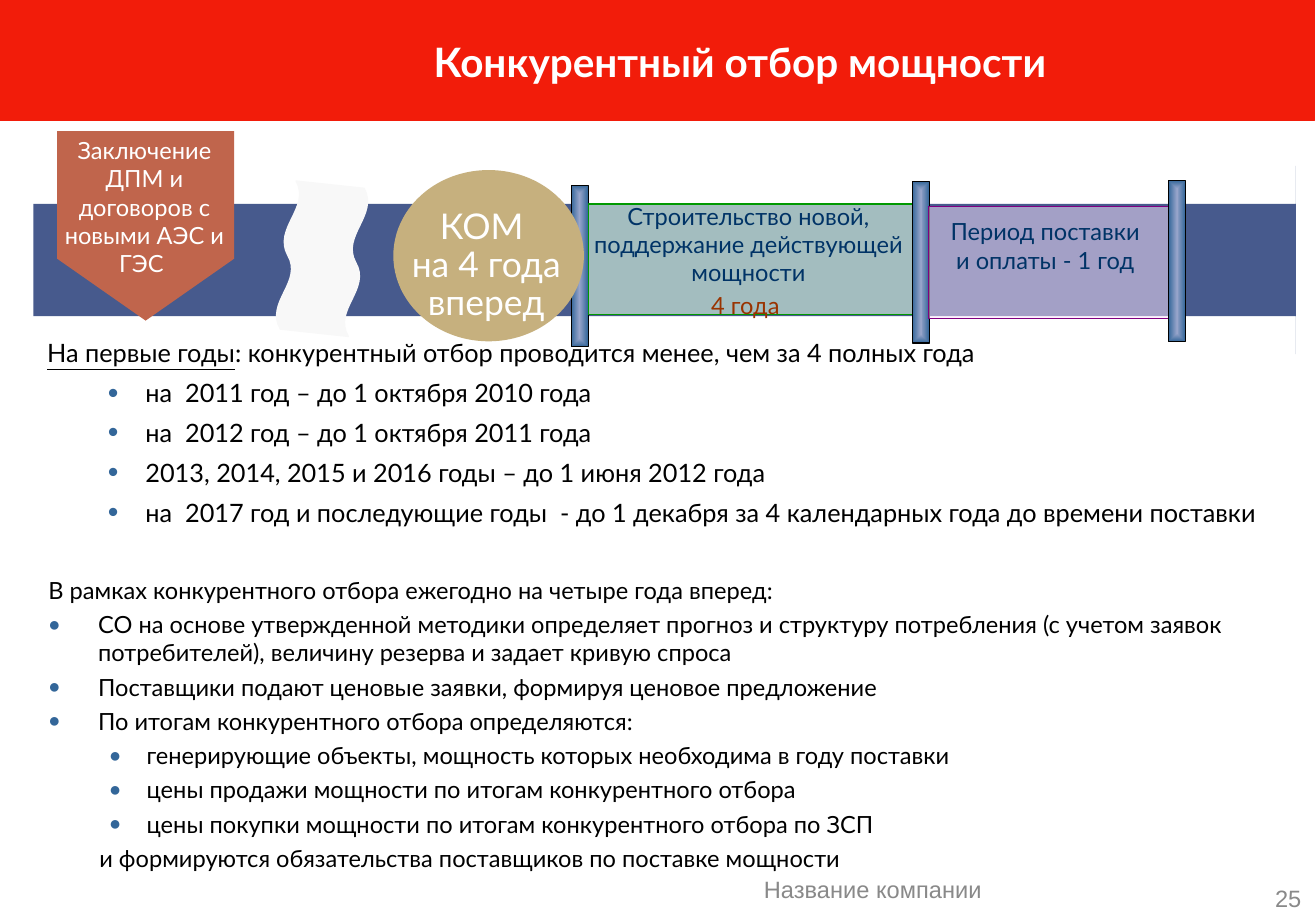
from dataclasses import dataclass
from typing import Optional

import pptx
import pptx.dml.color
import pptx.enum.shapes
import pptx.enum.text
import pptx.oxml
import pptx.oxml.ns
import pptx.presentation
import pptx.util
from pptx.shapes.autoshape import Shape
from pptx.slide import Slide

Pt = pptx.util.Pt
Align = pptx.enum.text.PP_ALIGN
Anchor = pptx.enum.text.MSO_ANCHOR
Preset = pptx.enum.shapes.MSO_SHAPE
qn = pptx.oxml.ns.qn
Point = tuple[float, float]


@dataclass(frozen=True)
class Theme:
    body_font: str = "Lato"
    footer_font: str = "Arial"
    title_size: float = 24
    selection_size: float = 21
    schedule_size: float = 15
    body_size: float = 14
    header: str = "F21C0A"
    white: str = "FFFFFF"
    black: str = "000000"
    footer: str = "898989"
    band: str = "475A8D"
    selection: str = "C6B07E"
    contracts: str = "C0654C"
    gap: str = "F8F8F8"
    navy: str = "003366"
    term: str = "993300"
    bullet: str = "336699"
    post_center: str = "96A4CA"
    build: str = "E1FFE1"
    build_line: str = "009900"
    supply: str = "FFE7FF"
    supply_line: str = "800080"


THEME = Theme()


@dataclass(frozen=True)
class Box:
    left: float
    top: float
    width: float
    height: float

    def emu(self) -> tuple[int, int, int, int]:
        return Pt(self.left), Pt(self.top), Pt(self.width), Pt(self.height)


@dataclass(frozen=True)
class Bullet:
    symbol: str
    percent: int


@dataclass(frozen=True)
class Line:
    text: str
    underlined: str = ""
    color: Optional[str] = None
    level: int = 0
    indent: float = 0
    hanging: float = 0
    bullet: Optional[Bullet] = None


@dataclass(frozen=True)
class Style:
    size: float = THEME.body_size
    color: str = THEME.black
    font: str = THEME.body_font
    align: Align = Align.LEFT
    anchor: Anchor = Anchor.TOP
    before: float = 0
    spacing: Optional[float] = None
    bold: bool = False
    inset: Point = (7.2, 3.6)


def rgb(color: str) -> pptx.dml.color.RGBColor:
    return pptx.dml.color.RGBColor.from_string(color)


def paint(shape: Shape, fill: str, outline: Optional[str] = None, opacity: int = 100) -> None:
    shape.shadow.inherit = False
    shape.fill.solid()
    shape.fill.fore_color.rgb = rgb(fill)
    if opacity < 100:
        tint = shape._element.spPr.find(qn("a:solidFill"))[0]
        tint.append(tint.makeelement(qn("a:alpha"), {"val": str(opacity * 1000)}))
    if outline:
        shape.line.color.rgb = rgb(outline)
        shape.line.width = Pt(0.75)
    else:
        shape.line.fill.background()


def add_block(slide: Slide, preset: Preset, box: Box, fill: str,
              outline: Optional[str] = None, opacity: int = 100) -> Shape:
    block = slide.shapes.add_shape(preset, *box.emu())
    paint(block, fill, outline, opacity)
    return block


def add_post(slide: Slide, box: Box) -> None:
    post = add_block(slide, Preset.RECTANGLE, box, THEME.bullet, THEME.black)
    post.fill.gradient()
    for stop, color in zip(post.fill.gradient_stops, (THEME.post_center, THEME.bullet)):
        stop.color.rgb = rgb(color)
    gradient = post._element.spPr.find(qn("a:gradFill"))
    gradient.replace(gradient.find(qn("a:lin")), pptx.oxml.parse_xml(
        f'<a:path {pptx.oxml.ns.nsdecls("a")} path="rect">'
        '<a:fillToRect l="50000" t="50000" r="50000" b="50000"/></a:path>'))


def add_outline(slide: Slide, points: list[Point], fill: str, outline: Optional[str] = None) -> None:
    start, *rest = [(Pt(x), Pt(y)) for x, y in points]
    builder = slide.shapes.build_freeform(*start, scale=1.0)
    builder.add_line_segments(rest, close=True)
    paint(builder.convert_to_shape(), fill, outline)


def curve(a: Point, b: Point, c: Point, d: Point, steps: int = 16) -> list[Point]:
    def blend(t: float, axis: int) -> float:
        return ((1 - t) ** 3 * a[axis] + 3 * (1 - t) ** 2 * t * b[axis]
                + 3 * (1 - t) * t ** 2 * c[axis] + t ** 3 * d[axis])
    return [(blend(i / steps, 0), blend(i / steps, 1)) for i in range(steps + 1)]


def write(shape: Shape, lines: list[Line], style: Style) -> None:
    frame = shape.text_frame
    frame.word_wrap = True
    frame.vertical_anchor = style.anchor
    frame.margin_left = frame.margin_right = Pt(style.inset[0])
    frame.margin_top = frame.margin_bottom = Pt(style.inset[1])
    for index, line in enumerate(lines):
        paragraph = frame.add_paragraph() if index else frame.paragraphs[0]
        properties = paragraph._p.get_or_add_pPr()
        properties.set("marL", str(Pt(line.indent)))
        properties.set("indent", str(Pt(-line.hanging)))
        if line.bullet:
            color = properties.makeelement(qn("a:buClr"))
            color.append(color.makeelement(qn("a:srgbClr"), {"val": THEME.bullet}))
            properties.append(color)
            for tag, key, value in (("a:buSzPct", "val", str(line.bullet.percent * 1000)),
                                    ("a:buFont", "typeface", THEME.footer_font),
                                    ("a:buChar", "char", line.bullet.symbol)):
                properties.append(properties.makeelement(qn(tag), {key: value}))
        paragraph.level = line.level
        paragraph.alignment = style.align
        paragraph.space_before = Pt(style.before if index else 0)
        if style.spacing:
            paragraph.line_spacing = style.spacing
        for text, underline in ((line.underlined, True), (line.text, False)):
            if text:
                run = paragraph.add_run()
                run.text = text
                run.font.name = style.font
                run.font.size = Pt(style.size)
                run.font.bold = style.bold
                run.font.underline = underline
                run.font.color.rgb = rgb(line.color or style.color)


def add_text(slide: Slide, box: Box, lines: list[Line], style: Style) -> None:
    write(slide.shapes.add_textbox(*box.emu()), lines, style)


def add_timeline(slide: Slide) -> None:
    band = add_block(slide, Preset.RIGHT_ARROW, Box(19.8, 98.28, 748.8, 111.6), THEME.band)
    band.adjustments[0], band.adjustments[1] = 0.596, 0
    add_post(slide, Box(338.76, 109.8, 10.08, 95.76))
    add_block(slide, Preset.OVAL, Box(233.28, 100.8, 113.04, 101.52), THEME.selection)
    add_block(slide, Preset.RECTANGLE, Box(349.2, 120.96, 192.24, 65.52),
              THEME.build, THEME.build_line, 60)
    add_post(slide, Box(541.08, 107.64, 10.08, 95.76))
    add_block(slide, Preset.RECTANGLE, Box(550.8, 122.4, 143.28, 66.24),
              THEME.supply, THEME.supply_line, 50)
    add_post(slide, Box(693, 106.92, 10.08, 95.76))
    add_outline(slide, [(138.96, 77.76), (138.96, 153.36), (86.4, 190.08),
                        (33.84, 153.36), (33.84, 77.76)], THEME.contracts)
    right_edge = (curve((216, 111.6), (224.64, 127.44), (202.32, 139.68), (210.96, 155.52))
                  + curve((210.96, 155.52), (220.32, 171.36), (197.28, 183.6), (206.64, 199.44)))
    left_edge = [(x - 40.32, y - 4.32) for x, y in reversed(right_edge)]
    add_outline(slide, right_edge + left_edge, THEME.gap, THEME.gap)

    stage = Style(color=THEME.navy, align=Align.CENTER)
    add_text(slide, Box(550.08, 125.28, 143.28, 41.04),
             [Line("Период поставки "), Line("и оплаты - 1 год ")], stage)
    add_text(slide, Box(341.28, 115.92, 205.2, 77.04),
             [Line("Строительство новой, поддержание действующей мощности"),
              Line("4 года ", color=THEME.term)],
             Style(color=THEME.navy, align=Align.CENTER, before=2.6))
    add_text(slide, Box(23.76, 77.04, 123.84, 91.44),
             [Line("Заключение ДПМ и договоров с новыми АЭС и ГЭС ")],
             Style(color=THEME.white, align=Align.CENTER))
    add_text(slide, Box(228.96, 120.24, 118.8, 97.92),
             [Line("КОМ "), Line("на 4 года вперед")],
             Style(THEME.selection_size, THEME.white, align=Align.CENTER, spacing=0.9))


def add_schedule(slide: Slide) -> None:
    dates = ["на  2011 год – до 1 октября 2010 года",
             "на  2012 год – до 1 октября 2011 года",
             "2013, 2014, 2015 и 2016 годы – до 1 июня 2012 года",
             "на  2017 год и последующие годы  - до 1 декабря за 4 календарных года до времени поставки"]
    intro = Line(": конкурентный отбор проводится менее, чем за 4 полных года", "На первые годы")
    items = [Line(date, level=1, indent=58.32, hanging=22.32, bullet=Bullet("•", 120)) for date in dates]
    add_text(slide, Box(20.88, 196.56, 732.24, 137.52), [intro, *items],
             Style(THEME.schedule_size, before=5.6))


def add_procedure(slide: Slide) -> None:
    steps = ["СО на основе утвержденной методики определяет прогноз и структуру потребления "
             "(с учетом заявок потребителей), величину резерва и задает кривую спроса",
             "Поставщики подают ценовые заявки, формируя ценовое предложение",
             "По итогам конкурентного отбора определяются:"]
    results = ["генерирующие объекты, мощность которых необходима в году поставки",
               "цены продажи мощности по итогам конкурентного отбора",
               "цены покупки мощности по итогам конкурентного отбора по ЗСП"]
    dot = Bullet("●", 85)
    lines = [Line("В рамках конкурентного отбора ежегодно на четыре года вперед:"),
             *(Line(step, indent=29.52, hanging=29.52, bullet=dot) for step in steps),
             *(Line(result, level=1, indent=58.32, hanging=22.32, bullet=dot) for result in results),
             Line("и формируются обязательства поставщиков по поставке мощности", indent=30.24)]
    add_text(slide, Box(21.6, 337.68, 748.8, 190.8), lines, Style(before=3.5))


def main() -> None:
    deck = pptx.Presentation()
    deck.slide_width, deck.slide_height = Pt(780.48), Pt(540)
    slide = deck.slides.add_slide(deck.slide_layouts[6])
    add_block(slide, Preset.RECTANGLE, Box(0, 0, 779.76, 71.28), THEME.header, THEME.header)
    title = add_block(slide, Preset.RECTANGLE, Box(123.84, 6.48, 630, 59.76), THEME.header, THEME.header)
    write(title, [Line("Конкурентный отбор мощности")],
          Style(THEME.title_size, THEME.white, align=Align.CENTER, anchor=Anchor.MIDDLE,
                bold=True, inset=(3.6, 3.6)))
    add_timeline(slide)
    add_schedule(slide)
    add_procedure(slide)
    for box, text, align in ((Box(276.48, 514.08, 482.4, 25.92), "Название компании", Align.CENTER),
                             (Box(740, 524.88, 40.48, 15.12), "25", Align.RIGHT)):
        add_text(slide, box, [Line(text)],
                 Style(color=THEME.footer, font=THEME.footer_font, align=align,
                       anchor=Anchor.MIDDLE, inset=(8.64, 4.32)))
    deck.save("out.pptx")


if __name__ == "__main__":
    main()
